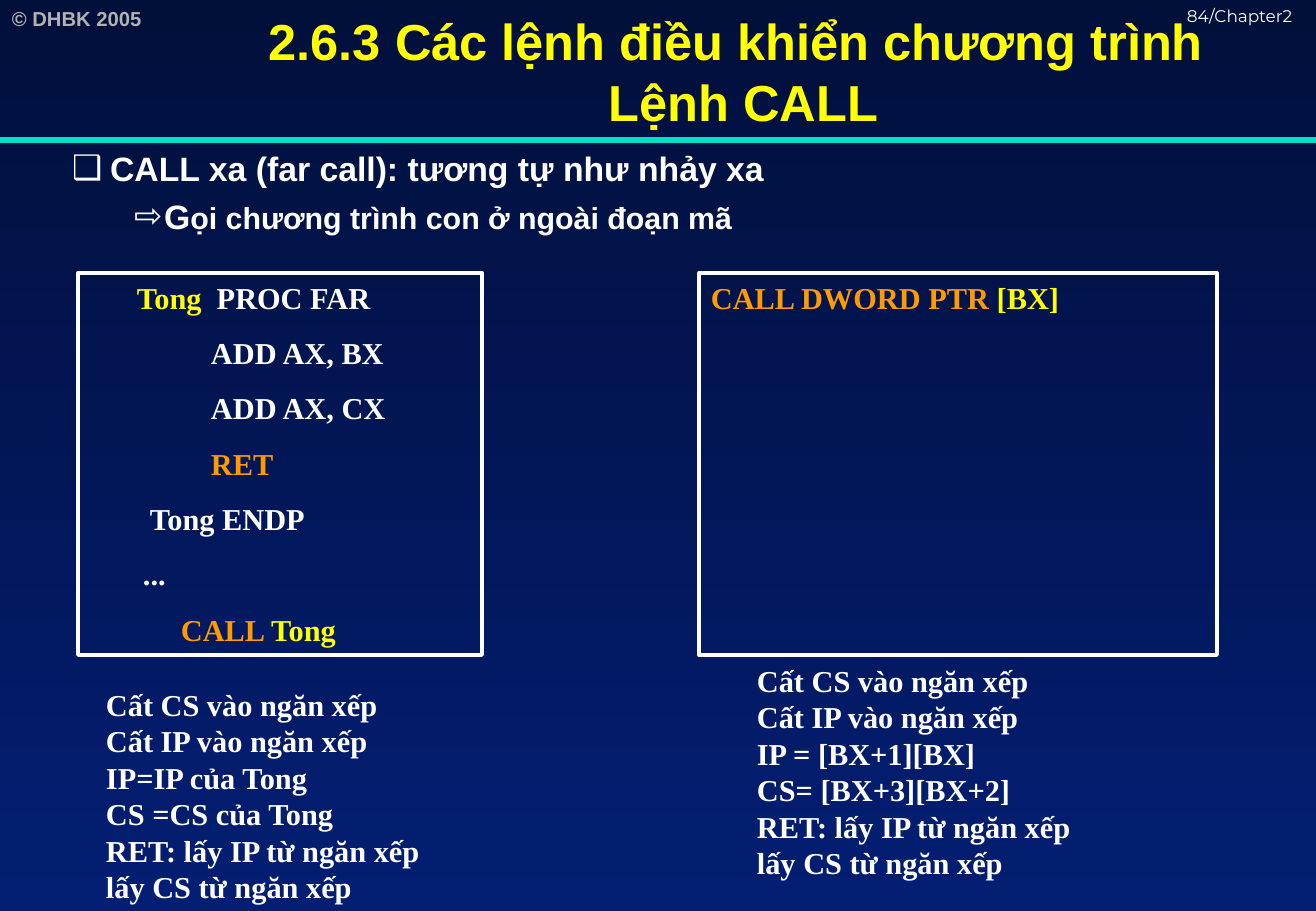
"""Build the lecture slide on the far CALL instruction."""
from dataclasses import dataclass

from lxml import etree
from pptx import Presentation
from pptx import util as u
from pptx.dml import color
from pptx.enum import shapes, text
from pptx.oxml import ns

PX = 7532
PAGE = (1316, 911)


@dataclass(frozen=True)
class Theme:
    white: str = "FFFFFF"
    yellow: str = "FFFF00"
    orange: str = "FF9B00"
    grey: str = "B2B2B2"
    rule: str = "00DFCA"
    top: str = "010F3B"
    bottom: str = "031E73"
    heading: str = "Arial"
    code: str = "Times New Roman"
    number: str = "Montserrat"
    leading: float = 1.2


T = Theme()
HEADING = (T.heading, 30, True, T.yellow)
BULLET = (T.heading, 20, True, T.white)
CODE = (T.code, 18, True, T.white)
COPYRIGHT = (T.heading, 12, True, T.grey)
NUMBER = (T.number, 10, False, T.white)

TITLE = "2.6.3 Các lệnh điều khiển chương trình \vLệnh CALL"
BULLETS = [
    ("❑", 98, 38, 0, [("CALL xa (far call): tương tự như nhảy xa",)]),
    ("⇨", 152, 30, 4.5, [("G",), ("ọi chương trình con ở ngoài đoạn mã", T.white, 18)]),
]
LISTINGS = [
    ((78, 273, 404, 382), [
        (47, [("Tong", T.yellow), ("  PROC FAR",)]),
        (121, [("ADD AX, BX",)]),
        (121, [("ADD AX, CX",)]),
        (121, [("RET", T.orange)]),
        (60, [("Tong ENDP",)]),
        (53, [("...",)]),
        (91, [("CALL ", T.orange), ("Tong", T.yellow)]),
    ]),
    ((699, 273, 518, 382), [
        (0, [("CALL DWORD PTR ", T.orange), ("[BX]", T.yellow)]),
    ]),
]
PUSHES = ["Cất CS vào ngăn xếp", "Cất IP vào ngăn xếp"]
RETURNS = ["RET: lấy IP từ ngăn xếp", "lấy CS từ ngăn xếp"]
STEPS = [
    ((94, 680, 350, 231), PUSHES + ["IP=IP của Tong", "CS =CS của Tong"] + RETURNS),
    ((745, 656, 350, 231), PUSHES + ["IP = [BX+1][BX]", "CS= [BX+3][BX+2]"] + RETURNS),
]
LABELS = [
    ((0, 0, 191, 36), "© DHBK 2005", COPYRIGHT),
    ((1175, 0, 141, 30), "84/Chapter2", NUMBER),
]


def px(*lengths):
    return [u.Emu(length * PX) for length in lengths]


def rgb(value):
    return color.RGBColor.from_string(value)


def place(box, area):
    box.left, box.top, box.width, box.height = px(*area)


def prepare(box, anchor=text.MSO_ANCHOR.TOP):
    frame = box.text_frame
    frame.word_wrap = True
    frame.auto_size = text.MSO_AUTO_SIZE.NONE
    frame.vertical_anchor = anchor
    return frame


def next_para(frame, index):
    return frame.add_paragraph() if index else frame.paragraphs[0]


def style_para(para, style, before=0, leading=T.leading, align=text.PP_ALIGN.LEFT):
    name, size, bold, tint = style
    para.alignment = align
    para.space_before = u.Pt(before)
    if leading:
        para.line_spacing = u.Pt(size * leading)
    font = para.font
    font.name, font.size, font.bold = name, u.Pt(size), bold
    font.color.rgb = rgb(tint)


def add_spans(para, spans):
    for words, *changes in spans:
        span = para.add_run()
        span.text = words
        if changes:
            span.font.color.rgb = rgb(changes[0])
        if len(changes) > 1:
            span.font.size = u.Pt(changes[1])


def indent(para, margin, hanging=0):
    props = para._p.get_or_add_pPr()
    props.set("marL", str(margin * PX))
    props.set("indent", str(-hanging * PX))
    return props


def add_background(page):
    fill = page.background.fill
    fill.gradient()
    fill.gradient_angle = 270
    for stop, tint in zip(fill.gradient_stops, (T.top, T.bottom)):
        stop.color.rgb = rgb(tint)


def add_rule(page):
    rule = page.shapes.add_connector(shapes.MSO_CONNECTOR.STRAIGHT, *px(0, 140, PAGE[0], 140))
    rule.line.color.rgb = rgb(T.rule)
    rule.line.width = u.Pt(3)
    etree.SubElement(rule._element.spPr, ns.qn("a:effectLst"))


def add_title(page):
    box = page.shapes.title
    place(box, (171, 0, 1145, 142))
    frame = prepare(box, text.MSO_ANCHOR.MIDDLE)
    frame.text = TITLE
    style_para(frame.paragraphs[0], HEADING, align=text.PP_ALIGN.CENTER)


def add_bullets(page):
    box = page.placeholders[1]
    place(box, (0, 142, PAGE[0], 769))
    frame = prepare(box)
    for level, (mark, margin, hanging, before, spans) in enumerate(BULLETS):
        para = next_para(frame, level)
        para.level = level
        props = indent(para, margin, hanging)
        tint = etree.SubElement(props, ns.qn("a:buClr"))
        etree.SubElement(tint, ns.qn("a:srgbClr"), val=T.white)
        etree.SubElement(props, ns.qn("a:buChar"), char=mark)
        style_para(para, BULLET, before)
        add_spans(para, spans)


def add_listing(page, area, lines):
    box = page.shapes.add_shape(shapes.MSO_SHAPE.RECTANGLE, *px(*area))
    box.shadow.inherit = False
    box.fill.background()
    box.line.color.rgb = rgb(T.white)
    box.line.width = u.Pt(2.25)
    frame = prepare(box)
    for index, (margin, spans) in enumerate(lines):
        para = next_para(frame, index)
        indent(para, margin)
        style_para(para, CODE, 11.2 if index else 0)
        add_spans(para, spans)


def add_lines(page, area, lines, style, leading=None):
    frame = prepare(page.shapes.add_textbox(*px(*area)))
    for index, words in enumerate(lines):
        para = next_para(frame, index)
        style_para(para, style, leading=leading)
        add_spans(para, [(words,)])


def main():
    deck = Presentation()
    deck.slide_width, deck.slide_height = px(*PAGE)
    page = deck.slides.add_slide(deck.slide_layouts[1])
    add_background(page)
    add_rule(page)
    add_title(page)
    add_bullets(page)
    for area, words, style in LABELS:
        add_lines(page, area, [words], style)
    for area, lines in LISTINGS:
        add_listing(page, area, lines)
    for area, lines in STEPS:
        add_lines(page, area, lines, CODE, T.leading)
    deck.save("out.pptx")


if __name__ == "__main__":
    main()
